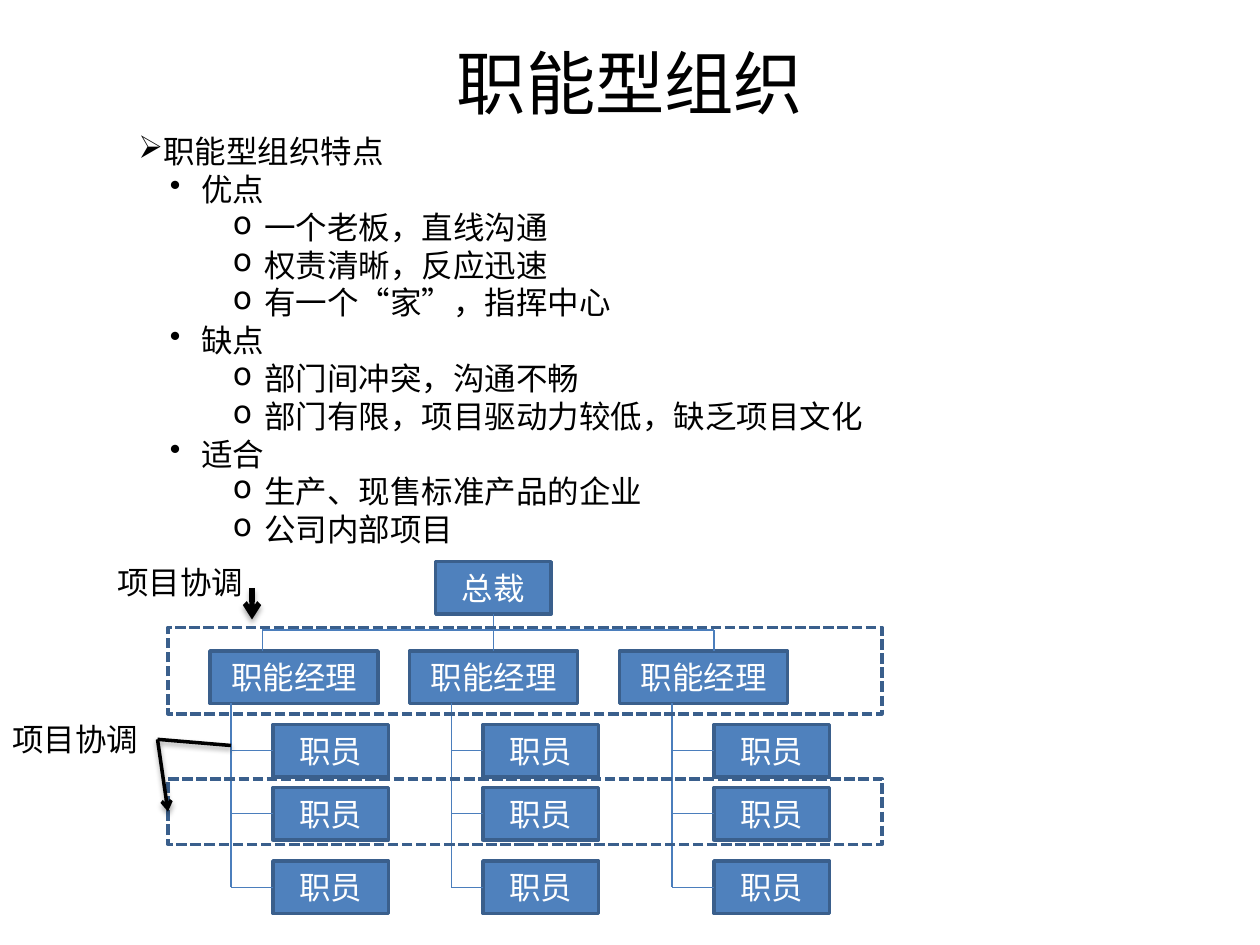
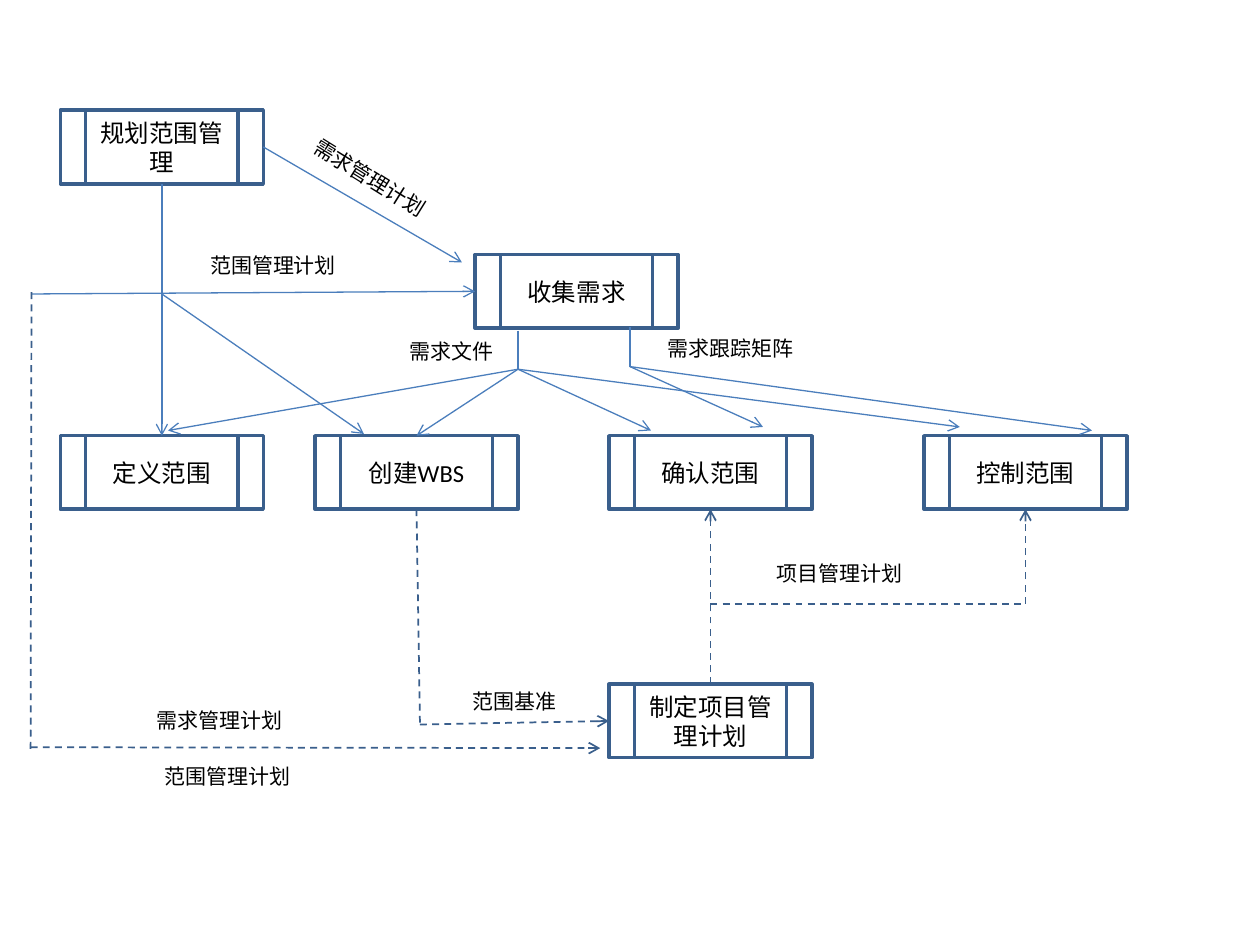
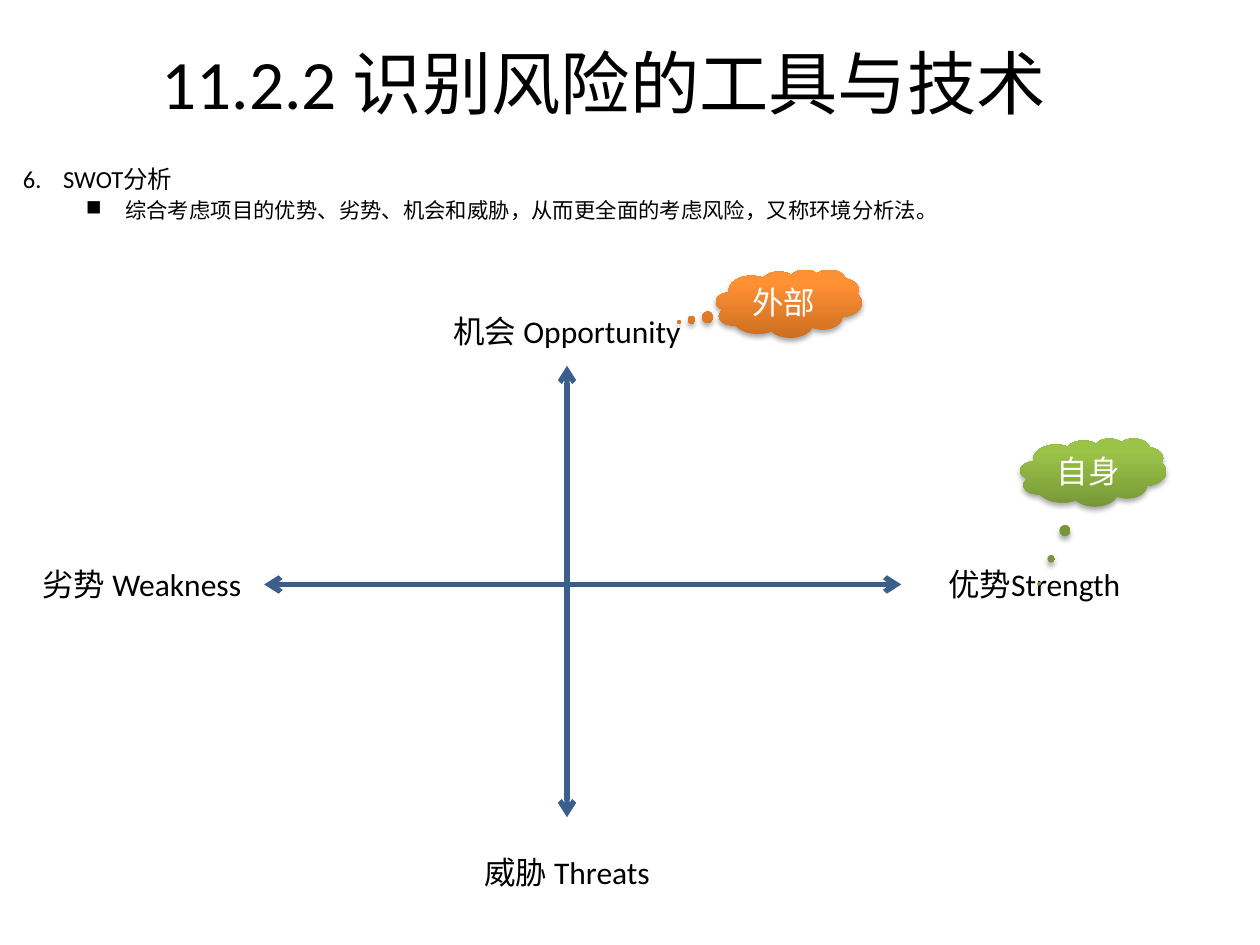
from dataclasses import dataclass
from lxml.etree import SubElement as Sub
from pptx import Presentation
from pptx.dml.color import RGBColor as Rgb
from pptx.enum.dml import MSO_LINE as Dash
from pptx.enum.shapes import MSO_CONNECTOR as Link, MSO_SHAPE as Kind
from pptx.enum.text import MSO_ANCHOR as Anchor, MSO_AUTO_SIZE as Fit, PP_ALIGN as Align
from pptx.oxml.ns import qn
from pptx.util import Pt

TOP, LEFT, BOTTOM, RIGHT = range(4)


@dataclass(frozen=True)
class Theme:
    font: str = "Calibri"
    ink: str = "000000"
    white: str = "FFFFFF"
    blue: str = "4F81BD"
    edge: str = "3A5F8C"
    wire: str = "4B7EBC"
    orange: tuple = ("CC6E20", "FF9034")
    green: tuple = ("779737", "9BC348")
    title: float = 39.6
    body: float = 18
    small: float = 14
    point: float = 12.2
    label: float = 12


THEME = Theme()


def write(frame, text, size=THEME.body, color=THEME.ink, align=Align.LEFT,
          mark=None, number=None, left=0, hang=0, gap=0):
    para = frame.add_paragraph() if frame.text else frame.paragraphs[0]
    para.alignment = align
    para.space_before = Pt(gap)
    run = para.add_run()
    run.text = text
    run.font.name = THEME.font
    run.font.size = Pt(size)
    run.font.color.rgb = Rgb.from_string(color)
    if mark or number:
        props = para._p.get_or_add_pPr()
        props.set("marL", str(Pt(left)))
        props.set("indent", str(Pt(-hang)))
        if mark:
            Sub(props, qn("a:buChar"), char=mark)
        else:
            Sub(props, qn("a:buAutoNum"), type="arabicPeriod", startAt=str(number))


def effect(shape, shadow):
    props = shape.element.spPr
    for old in props.findall(qn("a:effectLst")):
        props.remove(old)
    box = Sub(props, qn("a:effectLst"))
    if shadow:
        cast = Sub(box, qn("a:outerShdw"), blurRad=str(Pt(3.1)), dist=str(Pt(1.8)),
                   dir="5400000", rotWithShape="0")
        tint = Sub(cast, qn("a:srgbClr"), val=THEME.ink)
        Sub(tint, qn("a:alpha"), val="35000")


class Deck:
    def __init__(self, theme):
        self.theme = theme
        self.file = Presentation()
        self.file.slide_width, self.file.slide_height = Pt(720), Pt(540)

    def page(self):
        self.slide = self.file.slides.add_slide(self.file.slide_layouts[6])

    def frame(self, x, y, w, h, wrap=True, fit=Fit.SHAPE_TO_FIT_TEXT, turn=0):
        box = self.slide.shapes.add_textbox(Pt(x), Pt(y), Pt(w), Pt(h))
        box.rotation = turn
        box.text_frame.word_wrap = wrap
        box.text_frame.auto_size = fit
        return box.text_frame

    def title(self, text, x, w):
        frame = self.frame(x, 21.6, w, 50.4, fit=Fit.NONE)
        frame.vertical_anchor = Anchor.MIDDLE
        write(frame, text, size=self.theme.title, align=Align.CENTER)

    def note(self, text, x, y, w, align=Align.LEFT):
        write(self.frame(x, y, w, 29), text, align=align)

    def label(self, text, x, y):
        size = self.theme.label
        frame = self.frame(x, y, len(text) * size + 14.4, 21.6, wrap=False)
        write(frame, text, size=size)

    def shape(self, kind, x, y, w, h, text="", size=THEME.body, color=THEME.white):
        item = self.slide.shapes.add_shape(kind, Pt(x), Pt(y), Pt(w), Pt(h))
        effect(item, False)
        item.text_frame.word_wrap = True
        item.text_frame.vertical_anchor = Anchor.MIDDLE
        if text:
            write(item.text_frame, text, size=size, color=color, align=Align.CENTER)
        return item

    def box(self, x, y, w, h, text="", kind=Kind.RECTANGLE, fill=None, dash=None, **form):
        item = self.shape(kind, x, y, w, h, text, **form)
        if fill:
            item.fill.solid()
            item.fill.fore_color.rgb = Rgb.from_string(fill)
        else:
            item.fill.background()
        item.line.color.rgb = Rgb.from_string(self.theme.edge)
        item.line.width = Pt(2)
        if dash:
            item.line.dash_style = dash
        return item

    def cloud(self, text, x, y, tail, tones):
        item = self.shape(Kind.CLOUD_CALLOUT, x, y, 83.5, 39, text)
        for at, value in enumerate(tail):
            item.adjustments[at] = value
        item.fill.gradient()
        item.fill.gradient_angle = 90
        for stop, tone, spot in zip(item.fill.gradient_stops, tones, (0, 0.8)):
            stop.color.rgb = Rgb.from_string(tone)
            stop.position = spot
        item.line.fill.background()
        effect(item, True)

    def line(self, start, end, color=THEME.wire, width=0.75, dash=None,
             head=False, tail=False, shadow=False):
        ends = [(0, 0) if hasattr(spot[0], "left") else spot for spot in (start, end)]
        item = self.slide.shapes.add_connector(
            Link.STRAIGHT, *[Pt(value) for spot in ends for value in spot])
        if hasattr(start[0], "left"):
            item.begin_connect(*start)
        if hasattr(end[0], "left"):
            item.end_connect(*end)
        item.line.color.rgb = Rgb.from_string(color)
        item.line.width = Pt(width)
        if dash:
            item.line.dash_style = dash
        stroke = item.element.spPr.find(qn("a:ln"))
        for tag, shown in (("a:headEnd", head), ("a:tailEnd", tail)):
            if shown:
                Sub(stroke, qn(tag), type="arrow")
        effect(item, shadow)


def chart(deck):
    deck.page()
    deck.title("职能型组织", 36, 648)
    frame = deck.frame(72, 72, 564, 269)
    levels = (dict(mark="➢"), dict(mark="•", left=36, hang=18), dict(mark="o", left=72, hang=18))
    for level, text in (
        (0, "职能型组织特点"),
        (1, "优点"),
        (2, "一个老板，直线沟通"),
        (2, "权责清晰，反应迅速"),
        (2, "有一个“家”，指挥中心"),
        (1, "缺点"),
        (2, "部门间冲突，沟通不畅"),
        (2, "部门有限，项目驱动力较低，缺乏项目文化"),
        (1, "适合"),
        (2, "生产、现售标准产品的企业"),
        (2, "公司内部项目"),
    ):
        write(frame, text, **levels[level])

    fill = deck.theme.blue
    boss = deck.box(249, 321, 66, 30, "总裁", fill=fill)
    heads = [deck.box(x, 372, 96, 30, "职能经理", fill=fill) for x in (120, 234, 354)]
    deck.line((boss, BOTTOM), (heads[1], TOP))
    deck.line((150, 360), (408, 360))
    for x in (150, 408):
        deck.line((x, 360), (x, 372))
    for col, x in enumerate((156, 276, 408)):
        trunk = 132 + 126 * col
        deck.line((trunk, 402), (trunk, 507))
        for y in (414, 450, 492):
            staff = deck.box(x, y, 66, 30, "职员", fill=fill)
            deck.line((trunk, y + 15), (staff, LEFT))

    deck.box(96, 358.5, 408, 49.5, dash=Dash.SQUARE_DOT)
    team = deck.box(96, 445, 408, 37.5, dash=Dash.SQUARE_DOT)
    deck.note("项目协调", 60, 318, 102)
    deck.note("项目协调", 0, 408, 90)
    pen = dict(color=deck.theme.ink, shadow=True)
    deck.line((144, 336), (144, 354), width=3, tail=True, **pen)
    deck.line((90, 422.5), (team, LEFT), width=2, tail=True, **pen)
    deck.line((90, 422.5), (132, 426), width=2, **pen)


def flow(deck):
    deck.page()
    plan, needs, define, wbs, check, control, project = [
        deck.box(x, y, 116, 42, text, kind=Kind.FLOWCHART_PREDEFINED_PROCESS,
                 size=deck.theme.small, color=deck.theme.ink)
        for text, x, y in (
            ("规划范围管理", 34.5, 63),
            ("收集需求", 271.5, 145.5),
            ("定义范围", 34.5, 249),
            ("创建WBS", 180, 249),
            ("确认范围", 348, 249),
            ("控制范围", 528, 249),
            ("制定项目管理计划", 348, 391),
        )
    ]
    files, matrix = (296, 211), (360, 209.5)
    deck.line((296, 189), files)
    deck.line((360, 187), matrix)
    for start, end in (
        ((plan, BOTTOM), (define, TOP)),
        ((plan, RIGHT), (264, 150)),
        ((18, 168), (needs, LEFT)),
        ((92.5, 168), (208, 248)),
        (files, (96, 246)),
        (files, (wbs, TOP)),
        (files, (372, 246)),
        (files, (548.5, 244)),
        (matrix, (436, 244)),
        (matrix, (624, 246)),
    ):
        deck.line(start, end, tail=True)
    for start, end, tail in (
        ((wbs, BOTTOM), (240, 414), False),
        ((240, 414), (project, LEFT), True),
        ((18, 167), (17.5, 428), False),
        ((17.5, 427), (343, 427.5), True),
        ((project, TOP), (check, BOTTOM), True),
        ((406, 345), (586, 345), False),
        ((586, 345), (control, BOTTOM), True),
    ):
        deck.line(start, end, color=deck.theme.edge, width=1, dash=Dash.DASH, tail=tail)

    write(deck.frame(163.5, 107.5, 149, 21.6, turn=32), "需求管理计划", size=deck.theme.label)
    for text, x, y in (
        ("范围管理计划", 113, 141),
        ("需求文件", 227, 190),
        ("需求跟踪矩阵", 374.5, 188),
        ("项目管理计划", 436.5, 317),
        ("范围基准", 263, 390),
        ("需求管理计划", 82.5, 401),
        ("范围管理计划", 87, 432.5),
    ):
        deck.label(text, x, y)


def swot(deck):
    deck.page()
    theme = deck.theme
    deck.title("11.2.2 识别风险的工具与技术", 6, 678)
    frame = deck.frame(6, 90, 648, 52.5, fit=Fit.NONE)
    write(frame, "SWOT分析", size=theme.small, number=6, left=23, hang=23, gap=2.8)
    write(frame, "综合考虑项目的优势、劣势、机会和威胁，从而更全面的考虑风险，又称环境分析法。",
          size=theme.point, mark="■", left=58.5, hang=22.5, gap=2.4)
    for start, end in (((151, 334), (515, 334)), ((324, 209), (324, 467))):
        deck.line(start, end, color=theme.edge, width=3, head=True, tail=True)
    for text, x, y, w in (
        ("机会 Opportunity", 239, 175, 170),
        ("威胁 Threats", 239, 484, 170),
        ("优势Strength", 515, 319.5, 152),
        ("劣势 Weakness", 11, 319.5, 140),
    ):
        deck.note(text, x, y, w, align=Align.CENTER)
    deck.cloud("外部", 409, 154, (-0.75, 0.27), theme.orange)
    deck.cloud("自身", 583, 250.5, (-0.37, 1.63), theme.green)


def main():
    deck = Deck(THEME)
    for build in (chart, flow, swot):
        build(deck)
    deck.file.save("out.pptx")


if __name__ == "__main__":
    main()
